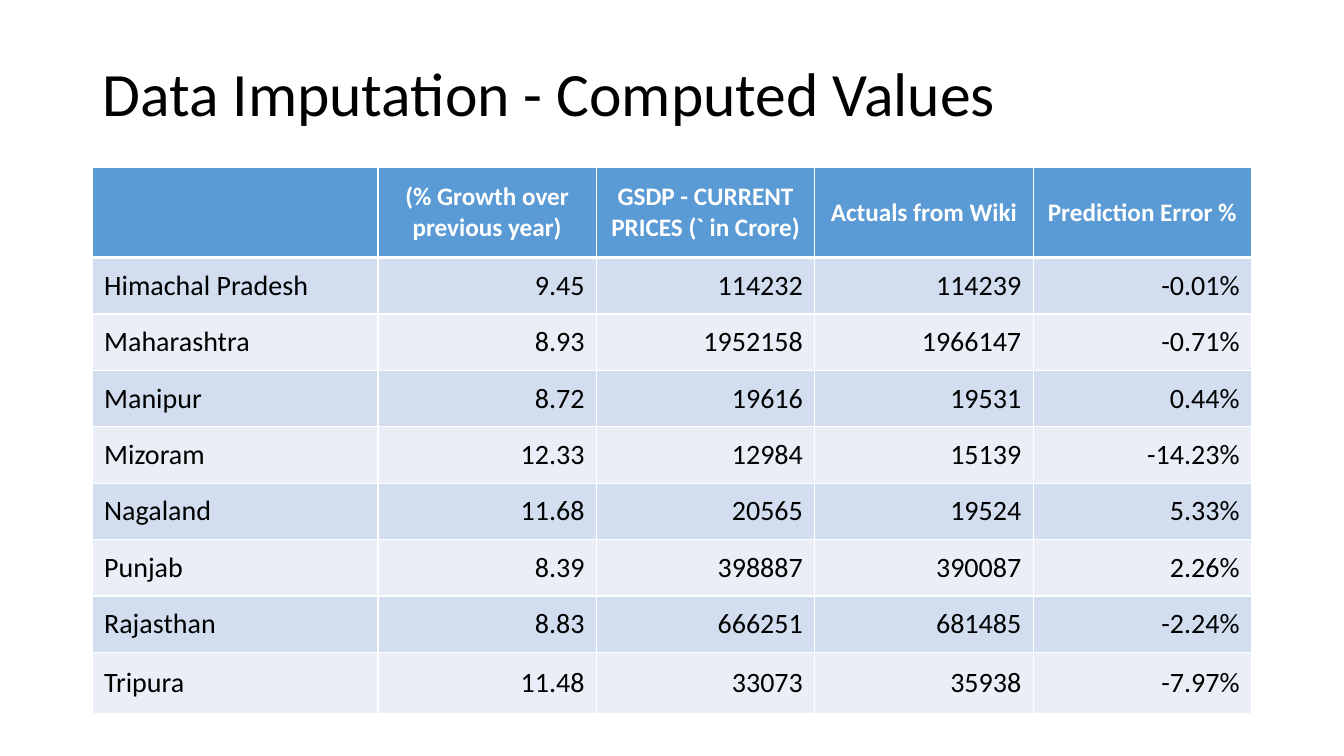
from lxml import etree
from pptx import Presentation
from pptx.dml.color import RGBColor
from pptx.enum.text import MSO_ANCHOR, MSO_AUTO_SIZE, PP_ALIGN
from pptx.oxml.ns import qn
from pptx.util import Pt

LEFT, CENTER, RIGHT = PP_ALIGN.LEFT, PP_ALIGN.CENTER, PP_ALIGN.RIGHT
MIDDLE = MSO_ANCHOR.MIDDLE
NO_FIT = MSO_AUTO_SIZE.NONE

TITLE = "Data Imputation - Computed Values"
HEADER = ("", "(% Growth over previous year)", "GSDP - CURRENT PRICES (` in Crore)",
          "Actuals from Wiki", "Prediction Error %")
STATES = [
    ("Himachal Pradesh", "9.45", "114232", "114239", "-0.01%"),
    ("Maharashtra", "8.93", "1952158", "1966147", "-0.71%"),
    ("Manipur", "8.72", "19616", "19531", "0.44%"),
    ("Mizoram", "12.33", "12984", "15139", "-14.23%"),
    ("Nagaland", "11.68", "20565", "19524", "5.33%"),
    ("Punjab", "8.39", "398887", "390087", "2.26%"),
    ("Rajasthan", "8.83", "666251", "681485", "-2.24%"),
    ("Tripura", "11.48", "33073", "35938", "-7.97%"),
]

FONT = "Calibri"
BLACK = RGBColor(0x00, 0x00, 0x00)
WHITE = RGBColor(0xFF, 0xFF, 0xFF)
BLUE = RGBColor(0x5B, 0x9B, 0xD5)
BANDS = (RGBColor(0xD2, 0xDE, 0xEF), RGBColor(0xEA, 0xEF, 0xF7))

TITLE_FONT = {"name": FONT, "size": Pt(44), "bold": False}
HEADER_FONT = {"name": FONT, "size": Pt(18), "bold": True}
BODY_FONT = {"name": FONT, "size": Pt(20), "bold": False}
CELL = {"vertical_anchor": MIDDLE, "margin_left": Pt(8.4), "margin_right": Pt(8.4),
        "margin_top": Pt(3), "margin_bottom": Pt(3)}
SPACING = {"space_before": Pt(3), "space_after": Pt(3)}

X, WIDTH = 66, 828
TITLE_Y, TITLE_H = 28.8, 80
TABLE_Y = 119.5
COL_W = [204] + [156] * 4
ROW_H = [64.5] + [40.3] * 7 + [43.4]


def apply(obj, values):
    for name, value in values.items():
        setattr(obj, name, value)


def write(p, text, font, color, align):
    p.alignment = align
    r = p.add_run()
    r.text = text
    apply(r.font, font)
    r.font.color.rgb = color


def add_borders(cell, widths):
    tc_pr = cell._tc.get_or_add_tcPr()
    for side, width in widths.items():
        ln = etree.SubElement(tc_pr, qn("a:ln" + side), w=str(Pt(width)))
        fill = etree.SubElement(ln, qn("a:solidFill"))
        etree.SubElement(fill, qn("a:srgbClr"), val=str(WHITE))


def add_title(slide):
    sp = slide.shapes.title
    apply(sp, {"left": Pt(X), "top": Pt(TITLE_Y), "width": Pt(WIDTH), "height": Pt(TITLE_H)})
    tf = sp.text_frame
    apply(tf, {"vertical_anchor": MIDDLE, "word_wrap": True, "auto_size": NO_FIT})
    p = tf.paragraphs[0]
    p.line_spacing = 0.9
    write(p, TITLE, TITLE_FONT, BLACK, LEFT)


def add_state_table(slide):
    rows = [HEADER] + STATES
    table = slide.shapes.add_table(len(rows), len(HEADER), Pt(X), Pt(TABLE_Y),
                                   Pt(sum(COL_W)), Pt(sum(ROW_H))).table
    for col, width in zip(table.columns, COL_W):
        col.width = Pt(width)
    for row, height in zip(table.rows, ROW_H):
        row.height = Pt(height)
    for i, values in enumerate(rows):
        head = i == 0
        font, color = (HEADER_FONT, WHITE) if head else (BODY_FONT, BLACK)
        for j, text in enumerate(values):
            cell = table.cell(i, j)
            apply(cell, CELL)
            add_borders(cell, {"L": 1, "R": 1, "T": 3 if i == 1 else 1, "B": 3 if head else 1})
            cell.fill.solid()
            cell.fill.fore_color.rgb = BLUE if head else BANDS[(i - 1) % 2]
            if text:
                p = cell.text_frame.paragraphs[0]
                apply(p, SPACING)
                write(p, text, font, color, CENTER if head else RIGHT if j else LEFT)


def main():
    prs = Presentation()
    prs.slide_width, prs.slide_height = Pt(960), Pt(540)
    slide = prs.slides.add_slide(prs.slide_layouts[5])
    add_title(slide)
    add_state_table(slide)
    prs.save("out.pptx")


if __name__ == "__main__":
    main()
